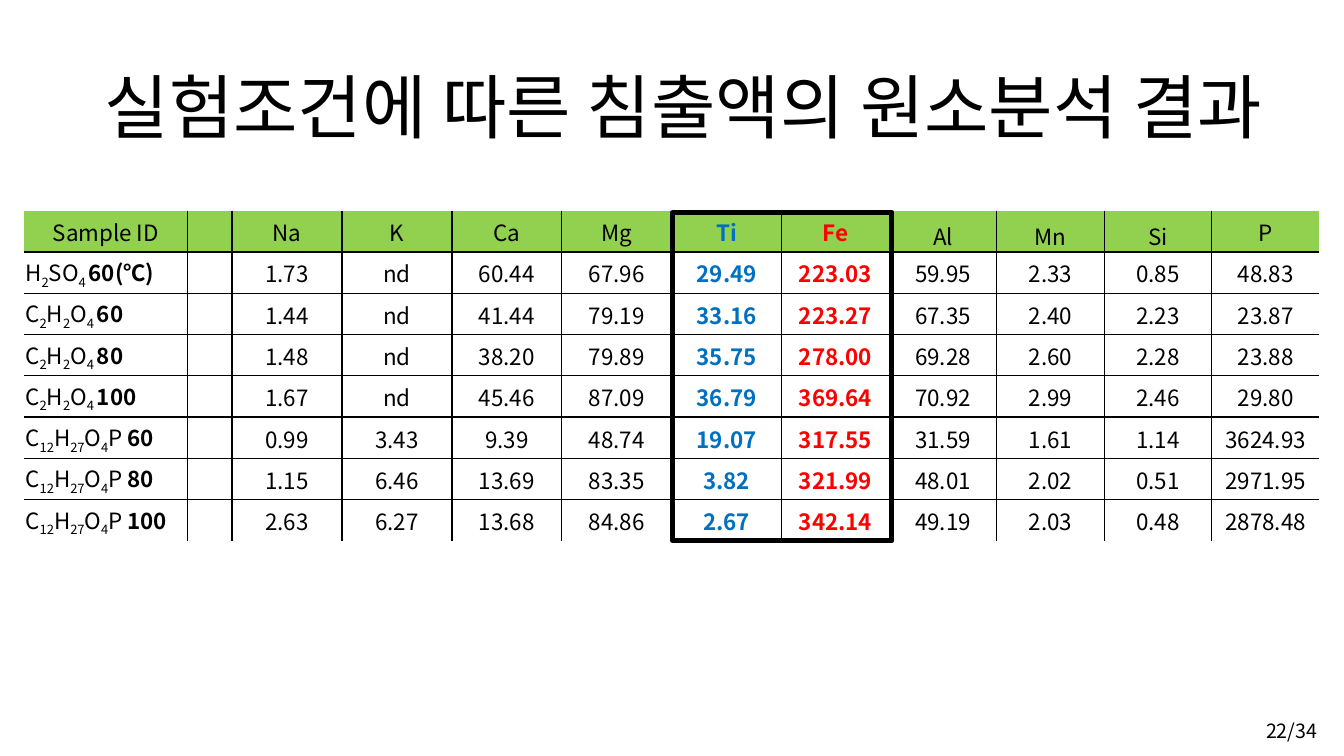
"""Build the slide with the element analysis table of the leachates."""
from lxml import etree
from pptx import Presentation
from pptx.dml.color import RGBColor
from pptx.enum import shapes, text
from pptx.oxml import ns
from pptx.util import Cm, Pt

FONT = "Noto Sans CJK KR"
COLORS = {"black": "000000", "white": "FFFFFF", "green": "92D050", "blue": "0070C0", "red": "FF0000"}
HEADINGS = ["Sample ID", "", "Na", "K", "Ca", "Mg", "Ti", "Fe", "Al", "Mn", "Si", "P"]
SULFURIC, OXALIC, PHOSPHATE = "H_2_SO_4 _", "C_2_H_2_O_4 _", "C_12_H_27_O_4_P"
SAMPLES = [
    (SULFURIC, "60(℃)", "1.73 nd 60.44 67.96 29.49 223.03 59.95 2.33 0.85 48.83"),
    (OXALIC, "60", "1.44 nd 41.44 79.19 33.16 223.27 67.35 2.40 2.23 23.87"),
    (OXALIC, "80", "1.48 nd 38.20 79.89 35.75 278.00 69.28 2.60 2.28 23.88"),
    (OXALIC, "100", "1.67 nd 45.46 87.09 36.79 369.64 70.92 2.99 2.46 29.80"),
    (PHOSPHATE, " 60", "0.99 3.43 9.39 48.74 19.07 317.55 31.59 1.61 1.14 3624.93"),
    (PHOSPHATE, " 80", "1.15 6.46 13.69 83.35 3.82 321.99 48.01 2.02 0.51 2971.95"),
    (PHOSPHATE, " 100", "2.63 6.27 13.68 84.86 2.67 342.14 49.19 2.03 0.48 2878.48"),
]
HIGHLIGHTS = {"Ti": "blue", "Fe": "red"}


def style(para, size, color="black", bold=False, align=text.PP_ALIGN.CENTER):
    """Format a whole paragraph."""
    para.alignment = align
    para.font.size, para.font.bold, para.font.name = Pt(size), bold, FONT
    para.font.color.rgb = RGBColor.from_string(COLORS[color])
    defaults = para._p.pPr.find(ns.qn("a:defRPr"))
    etree.SubElement(defaults, ns.qn("a:ea"), typeface=FONT)


def set_borders(cell, visible):
    """Draw thin black lines on the visible sides and none on the others."""
    props = cell._tc.get_or_add_tcPr()
    for index, side in enumerate(("L", "R", "T", "B")):
        line = etree.Element(ns.qn(f"a:ln{side}"), w=str(Pt(1)))
        if visible[side]:
            fill = etree.SubElement(line, ns.qn("a:solidFill"))
            etree.SubElement(fill, ns.qn("a:srgbClr"), val=COLORS["black"])
        else:
            etree.SubElement(line, ns.qn("a:noFill"))
        props.insert(index, line)


deck = Presentation()
deck.slide_width, deck.slide_height = Cm(33.87), Cm(19.05)
page = deck.slides.add_slide(deck.slide_layouts[5])

title = page.shapes.title
title.left, title.top, title.width, title.height = Cm(0.61), Cm(0), Cm(33.25), Cm(3.68)
title.text_frame.auto_size = text.MSO_AUTO_SIZE.NONE
title.text_frame.vertical_anchor = text.MSO_ANCHOR.MIDDLE
para = title.text_frame.paragraphs[0]
para.line_spacing = 0.9
para.add_line_break()
para.add_run().text = "실험조건에 따른 침출액의 원소분석 결과"
style(para, 50)

row_count, column_count = len(SAMPLES) + 2, len(HEADINGS)
table = page.shapes.add_table(row_count, column_count, Cm(0.61), Cm(4.27), Cm(32.64), Cm(9.36)).table
table.first_row = table.horz_banding = False
for column, width in zip(table.columns, [4.11, 1.13] + [2.77] * 5 + [2.71] * 5):
    column.width = Cm(width)
for row in table.rows:
    row.height = Cm(1.04)

rows = [[""] * column_count, HEADINGS]
rows += [["", ""] + values.split() for _, _, values in SAMPLES]
for r, values in enumerate(rows):
    for c, value in enumerate(values):
        cell = table.cell(r, c)
        cell.margin_left = cell.margin_right = cell.margin_top = Cm(0.03)
        cell.margin_bottom = Cm(0)
        low_heading = r == 1 and HEADINGS[c] in ("Al", "Mn", "Si")
        cell.vertical_anchor = text.MSO_ANCHOR.BOTTOM if low_heading else text.MSO_ANCHOR.MIDDLE
        cell.fill.solid()
        cell.fill.fore_color.rgb = RGBColor.from_string(COLORS["green" if r == 1 else "white"])
        set_borders(cell, {"L": r > 0 and c > 0, "R": r > 0 and c < column_count - 1,
                           "T": r > 1, "B": 0 < r < row_count - 1})
        para = cell.text_frame.paragraphs[0]
        if r > 1 and c == 0:
            formula, condition, _ = SAMPLES[r - 2]
            for position, part in enumerate(formula.split("_")):
                if part:
                    span = para.add_run()
                    span.text = part
                    if position % 2:
                        span._r.get_or_add_rPr().set("baseline", "-25000")
            span = para.add_run()
            span.text = condition
            span.font.bold = True
            style(para, 16, align=text.PP_ALIGN.LEFT)
        else:
            if value:
                para.add_run().text = value
            style(para, 16, HIGHLIGHTS.get(HEADINGS[c], "black"), HEADINGS[c] in HIGHLIGHTS)
table.cell(0, 0).merge(table.cell(0, column_count - 1))

frame = page.shapes.add_shape(shapes.MSO_SHAPE.RECTANGLE, Cm(16.94), Cm(5.36), Cm(5.54), Cm(8.26))
frame.shadow.inherit = False
frame.fill.background()
frame.line.color.rgb = RGBColor.from_string(COLORS["black"])
frame.line.width = Pt(3.5)

box = page.shapes.add_textbox(Cm(31.22), Cm(17.81), Cm(2.67), Cm(1.3))
box.text_frame.word_wrap = True
box.text_frame.vertical_anchor = text.MSO_ANCHOR.MIDDLE
para = box.text_frame.paragraphs[0]
para.line_spacing = 0.9
para.add_run().text = "22/34"
style(para, 14)

deck.save("out.pptx")
